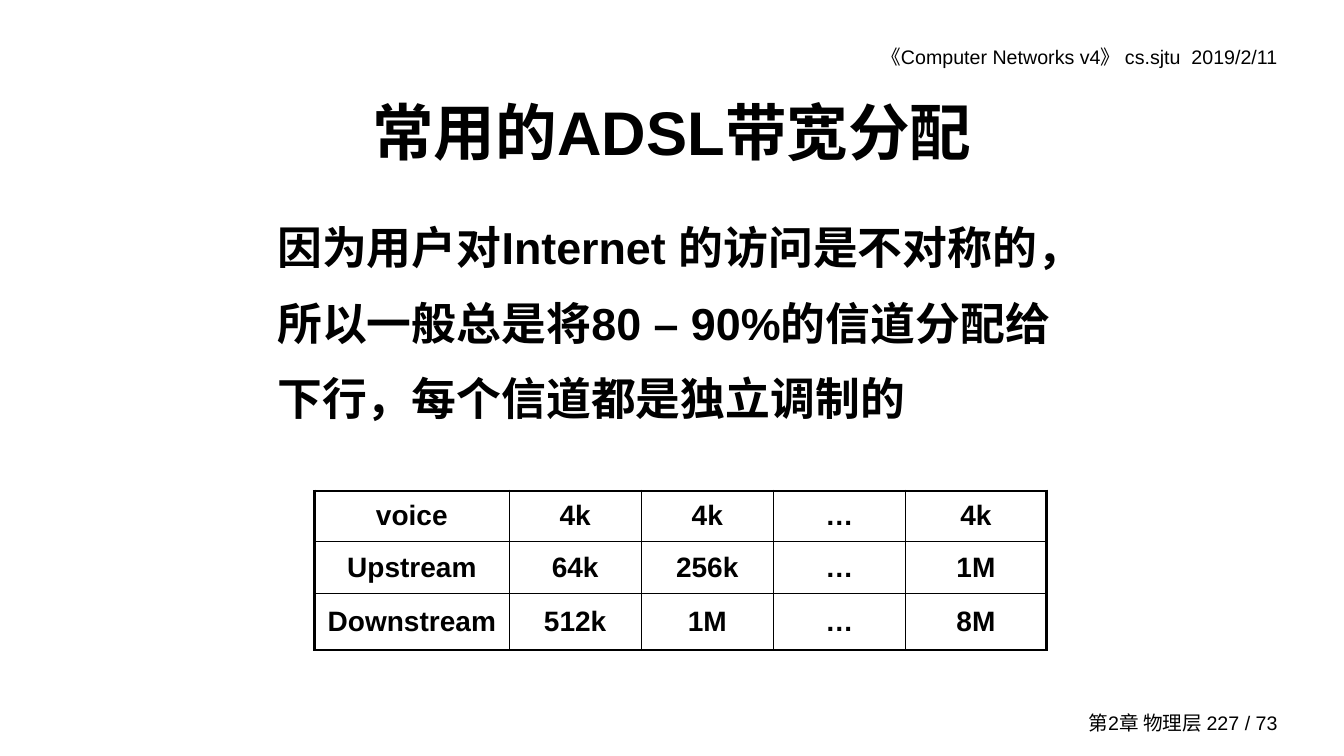
import dataclasses

import lxml.etree
import pptx
import pptx.dml.color
import pptx.enum.text
import pptx.oxml.ns
import pptx.presentation
import pptx.shapes.base
import pptx.slide
import pptx.table
import pptx.text.text
import pptx.util

PX = pptx.util.Inches(1) // 100  # 100 px to the inch
ALIGN = pptx.enum.text.PP_ALIGN
ANCHOR = pptx.enum.text.MSO_ANCHOR


@dataclasses.dataclass(frozen=True)
class Theme:
    font: str = "Arial"
    ink: str = "000000"
    title_size: int = 44
    body_size: int = 32
    table_size: int = 20
    caption_size: int = 14
    outer_line: float = 2.25
    inner_line: float = 1


@dataclasses.dataclass(frozen=True)
class Box:
    left: int
    top: int
    width: int
    height: int


@dataclasses.dataclass(frozen=True)
class Caption:
    text: str
    box: Box
    anchor: ANCHOR


THEME = Theme()
CAPTIONS = (
    Caption("《Computer Networks v4》 cs.sjtu  2019/2/11", Box(703, 40, 574, 34), ANCHOR.TOP),
    Caption("第2章 物理层 227 / 73", Box(976, 700, 301, 33), ANCHOR.MIDDLE),
)
TITLE = "常用的ADSL带宽分配"
TITLE_BOX = Box(100, 67, 1133, 125)
BODY = (
    "因为用户对Internet 的访问是不对称的，"
    "所以一般总是将80 – 90%的信道分配给下行，每个信道都是独立调制的"
)
BODY_BOX = Box(265, 192, 827, 258)
BANDWIDTHS = (
    ("voice", "4k", "4k", "…", "4k"),
    ("Upstream", "64k", "256k", "…", "1M"),
    ("Downstream", "512k", "1M", "…", "8M"),
)
TABLE_LEFT, TABLE_TOP = 312, 487
COLUMN_WIDTHS = (193, 131, 131, 131, 140)
ROW_HEIGHTS = (50, 52, 56)


def emu(box: Box) -> tuple[int, ...]:
    return tuple(length * PX for length in dataclasses.astuple(box))


def place(shape: pptx.shapes.base.BaseShape, box: Box) -> None:
    shape.left, shape.top, shape.width, shape.height = emu(box)


def write(
    frame: pptx.text.text.TextFrame, text: str, size: int, align: ALIGN, bold: bool = True
) -> pptx.text.text._Paragraph:
    frame.text = text
    paragraph = frame.paragraphs[0]
    paragraph.alignment = align
    paragraph.space_before = pptx.util.Pt(0)
    font = paragraph.runs[0].font
    font.name = THEME.font
    font.size = pptx.util.Pt(size)
    font.bold = bold
    font.color.rgb = pptx.dml.color.RGBColor.from_string(THEME.ink)
    return paragraph


def add_caption(slide: pptx.slide.Slide, caption: Caption) -> None:
    frame = slide.shapes.add_textbox(*emu(caption.box)).text_frame
    frame.word_wrap = True
    frame.vertical_anchor = caption.anchor
    write(frame, caption.text, THEME.caption_size, ALIGN.RIGHT, bold=False)


def fill_placeholders(slide: pptx.slide.Slide) -> None:
    title, body = slide.shapes.title, slide.placeholders[1]
    place(title, TITLE_BOX)
    place(body, BODY_BOX)
    for shape, anchor in ((title, ANCHOR.MIDDLE), (body, ANCHOR.TOP)):
        shape.text_frame.auto_size = pptx.enum.text.MSO_AUTO_SIZE.NONE
        shape.text_frame.vertical_anchor = anchor
    write(title.text_frame, TITLE, THEME.title_size, ALIGN.CENTER)
    paragraph = write(body.text_frame, BODY, THEME.body_size, ALIGN.LEFT)
    paragraph.line_spacing = 1.4
    # Plain paragraph: no bullet, no hanging indent
    properties = paragraph._p.get_or_add_pPr()
    properties.set("marL", "0")
    properties.set("indent", "0")
    lxml.etree.SubElement(properties, pptx.oxml.ns.qn("a:buNone"))


def set_borders(cell: pptx.table._Cell, outer_sides: dict[str, bool]) -> None:
    properties = cell._tc.get_or_add_tcPr()
    for side, is_outer in outer_sides.items():
        width = THEME.outer_line if is_outer else THEME.inner_line
        line = lxml.etree.SubElement(
            properties, pptx.oxml.ns.qn(f"a:ln{side}"), w=str(int(pptx.util.Pt(width)))
        )
        fill = lxml.etree.SubElement(line, pptx.oxml.ns.qn("a:solidFill"))
        lxml.etree.SubElement(fill, pptx.oxml.ns.qn("a:srgbClr"), val=THEME.ink)


def add_bandwidth_table(slide: pptx.slide.Slide) -> None:
    row_count, column_count = len(ROW_HEIGHTS), len(COLUMN_WIDTHS)
    box = Box(TABLE_LEFT, TABLE_TOP, sum(COLUMN_WIDTHS), sum(ROW_HEIGHTS))
    table = slide.shapes.add_table(row_count, column_count, *emu(box)).table
    table.first_row = table.horz_banding = False
    for column, width in zip(table.columns, COLUMN_WIDTHS):
        column.width = width * PX
    for row, height in zip(table.rows, ROW_HEIGHTS):
        row.height = height * PX
    for row_index, values in enumerate(BANDWIDTHS):
        for column_index, value in enumerate(values):
            cell = table.cell(row_index, column_index)
            write(cell.text_frame, value, THEME.table_size, ALIGN.CENTER)
            cell.vertical_anchor = ANCHOR.MIDDLE
            set_borders(cell, {
                "L": column_index == 0,
                "R": column_index == column_count - 1,
                "T": row_index == 0,
                "B": row_index == row_count - 1,
            })
            cell.fill.background()


def main() -> None:
    presentation = pptx.Presentation()
    presentation.slide_width = 1333 * PX
    presentation.slide_height = 750 * PX
    slide = presentation.slides.add_slide(presentation.slide_layouts[1])

    # Header and footer
    for caption in CAPTIONS:
        add_caption(slide, caption)

    # Title, explanation and bandwidth table
    fill_placeholders(slide)
    add_bandwidth_table(slide)
    presentation.save("out.pptx")


if __name__ == "__main__":
    main()
